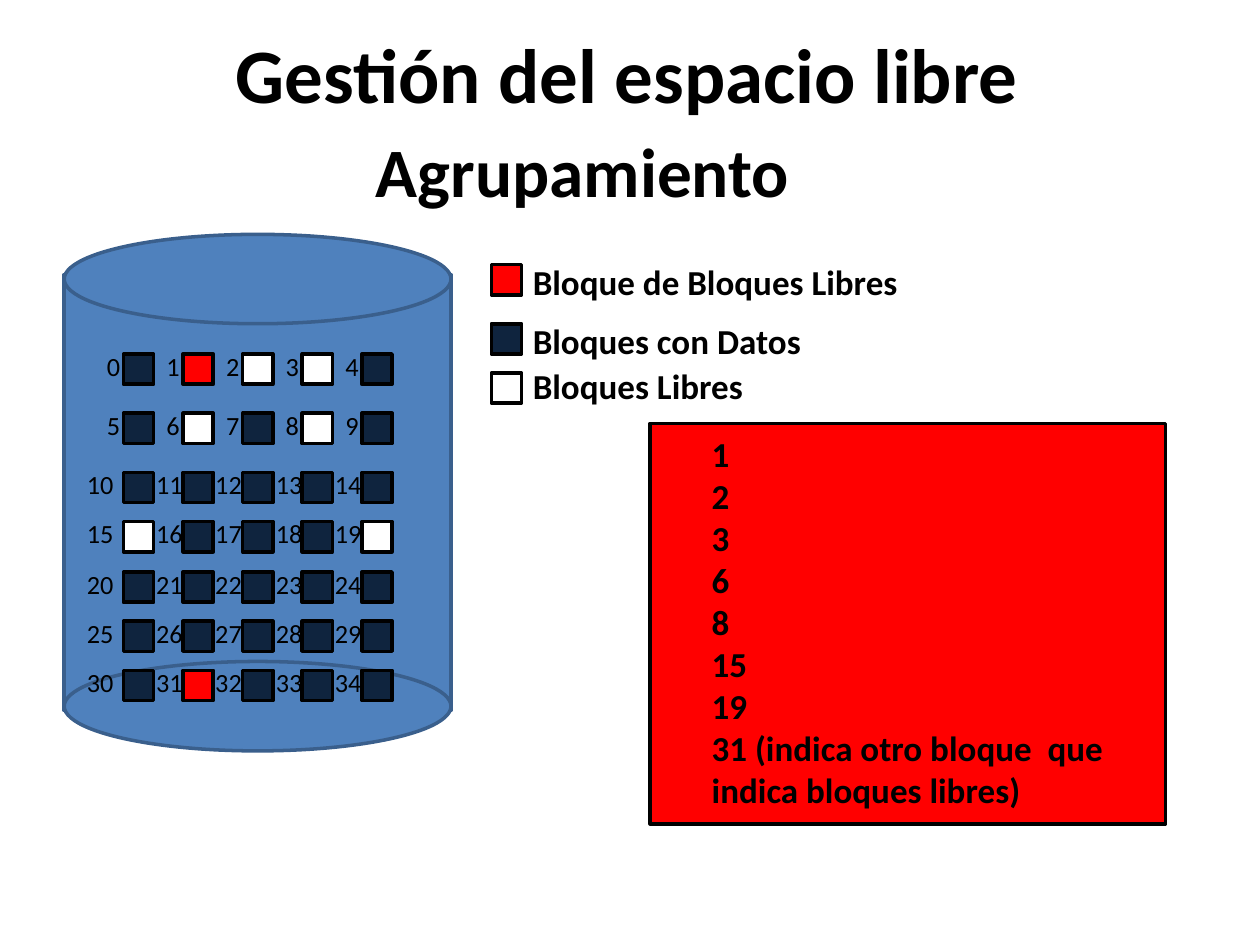
from dataclasses import dataclass

from pptx import Presentation
from pptx.dml.color import RGBColor
from pptx.enum.shapes import MSO_SHAPE as Shape
from pptx.enum.text import MSO_ANCHOR as Anchor, PP_ALIGN as Align
from pptx.util import Inches, Pt


@dataclass(frozen=True)
class Theme:
    font: str = "Calibri"
    ink: str = "000000"
    disk: str = "4F81BD"
    disk_line: str = "3A5F8C"
    data: str = "0F243E"
    free: str = "FFFFFF"
    index: str = "FF0000"
    line_width: float = 2
    title_size: float = 44
    subtitle_size: float = 39.6
    body_size: float = 20
    label_size: float = 15


THEME = Theme()
BLOCK = 0.24
COLUMNS = 5
COLUMN_LEFT, COLUMN_STEP = 0.98, 0.473
ROW_TOPS = [2.81, 3.28, 3.75, 4.14, 4.54, 4.93, 5.32]
TWO_DIGIT_LEFTS = [0.59, 1.14, 1.61, 2.09, 2.56]
INDEX_BLOCKS = {1, 31}
FREE_BLOCKS = {2, 3, 6, 8, 15, 19}


def add_figure(page, kind, left, top, width, height, fill, line=THEME.ink):
    figure = page.shapes.add_shape(
        kind, Inches(left), Inches(top), Inches(width), Inches(height))
    figure.shadow.inherit = False
    figure.fill.solid()
    figure.fill.fore_color.rgb = RGBColor.from_string(fill)
    figure.line.color.rgb = RGBColor.from_string(line)
    figure.line.width = Pt(THEME.line_width)


def add_block(page, left, top, fill):
    add_figure(page, Shape.RECTANGLE, left, top, BLOCK, BLOCK, fill)


def add_text(page, lines, left, top, width, height, size, bold=True,
             align=Align.LEFT, anchor=Anchor.TOP, wrap=True):
    box = page.shapes.add_textbox(
        Inches(left), Inches(top), Inches(width), Inches(height))
    frame = box.text_frame
    frame.word_wrap = wrap
    frame.vertical_anchor = anchor
    for number, line in enumerate(lines):
        para = frame.add_paragraph() if number else frame.paragraphs[0]
        para.alignment = align
        span = para.add_run()
        span.text = line
        span.font.name = THEME.font
        span.font.size = Pt(size)
        span.font.bold = bold
        span.font.color.rgb = RGBColor.from_string(THEME.ink)


def add_heading(page, text, left, top, width, height, size):
    add_text(page, [text], left, top, width, height, size,
             align=Align.CENTER, anchor=Anchor.MIDDLE)


def add_disk(page):
    left, width, cap = 0.51, 3.07, 0.71
    for kind, top, height in [(Shape.RECTANGLE, 2.18, 3.46),
                              (Shape.OVAL, 1.86, cap),
                              (Shape.OVAL, 5.25, cap)]:
        add_figure(page, kind, left, top, width, height,
                   THEME.disk, THEME.disk_line)


def block_fill(number):
    if number in INDEX_BLOCKS:
        return THEME.index
    return THEME.free if number in FREE_BLOCKS else THEME.data


def add_block_grid(page):
    """Draw all blocks first, so that the numbers lie over them."""
    cells = [(row * COLUMNS + column, column, top)
             for row, top in enumerate(ROW_TOPS) for column in range(COLUMNS)]
    for number, column, top in cells:
        add_block(page, COLUMN_LEFT + column * COLUMN_STEP, top,
                  block_fill(number))
    for number, column, top in cells:
        if number < 10:
            left, width = 0.75 + column * COLUMN_STEP, 0.31
        else:
            left, width = TWO_DIGIT_LEFTS[column], 0.42
        add_text(page, [str(number)], left, top - 0.08, width, 0.35,
                 THEME.label_size, bold=False, wrap=False)


def add_legend(page):
    for text, fill, block_top, text_top in [
            ("Bloque de Bloques Libres", THEME.index, 2.1, 2.02),
            ("Bloques con Datos", THEME.data, 2.57, 2.49),
            ("Bloques Libres", THEME.free, 2.96, 2.84)]:
        add_block(page, 3.9, block_top, fill)
        add_text(page, [text], 4.13, text_top, 3.15, 0.44, THEME.body_size)


def add_index_content(page):
    add_figure(page, Shape.RECTANGLE, 5.16, 3.36, 4.09, 3.18, THEME.index)
    lines = ["1", "2", "3", "6", "8", "15", "19",
             "31 (indica otro bloque  que indica bloques libres)"]
    add_text(page, lines, 5.55, 3.38, 3.31, 3.13, THEME.body_size)


def main():
    deck = Presentation()
    deck.slide_width, deck.slide_height = Inches(10), Inches(7.5)
    page = deck.slides.add_slide(deck.slide_layouts[6])
    add_heading(page, "Gestión del espacio libre",
                0.48, -0.05, 9, 1.25, THEME.title_size)
    add_heading(page, "Agrupamiento",
                1.44, 0.97, 6.37, 0.75, THEME.subtitle_size)
    add_disk(page)
    add_block_grid(page)
    add_legend(page)
    add_index_content(page)
    deck.save("out.pptx")


if __name__ == "__main__":
    main()
